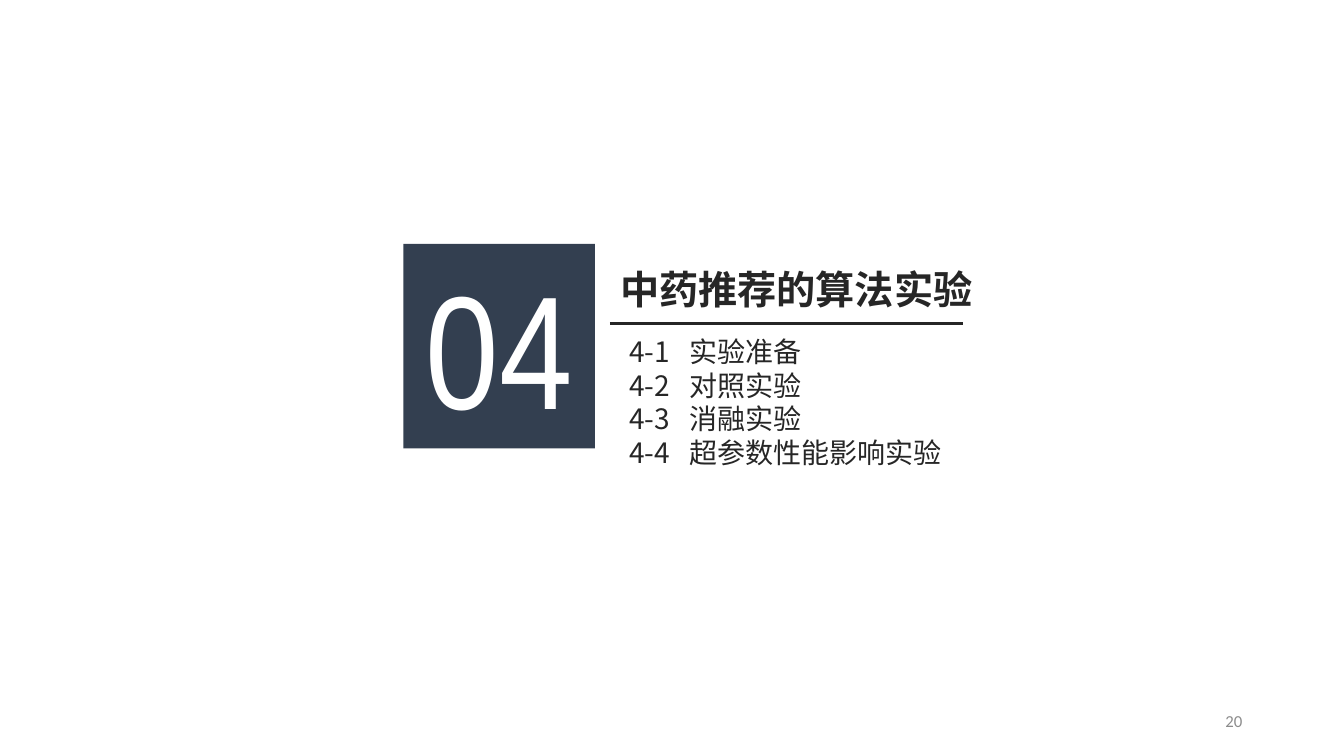
"""Build the section slide for the algorithm experiments."""
from dataclasses import dataclass

from lxml.etree import SubElement
from pptx import Presentation
from pptx.dml.color import RGBColor
from pptx.enum.shapes import MSO_CONNECTOR, MSO_SHAPE
from pptx.enum.text import MSO_ANCHOR as ANCHOR, MSO_AUTO_SIZE as AUTO, PP_ALIGN as ALIGN
from pptx.oxml.ns import qn
from pptx.util import Emu, Pt

PX = 9144
NAVY = RGBColor(0x33, 0x3F, 0x50)
INK = RGBColor(0x26, 0x26, 0x26)
GREY = RGBColor(0x8C, 0x8C, 0x8C)
WHITE = RGBColor(0xFF, 0xFF, 0xFF)
CJK = "Noto Sans CJK SC"
TOPICS = ["实验准备", "对照实验", "消融实验", "超参数性能影响实验"]


@dataclass
class Label:
    """Wording, place and format of one text."""
    lines: list[str]
    box: tuple[int, int, int, int]
    size: int
    font: str
    color: RGBColor
    bold: bool = False
    align: ALIGN = ALIGN.LEFT
    anchor: ANCHOR = ANCHOR.TOP
    tab: int = 0


def px(*values: int) -> list[Emu]:
    """Turn px into EMU."""
    return [Emu(v * PX) for v in values]


def write(sp, label: Label) -> None:
    """Place a shape and fill it with formatted text."""
    sp.left, sp.top, sp.width, sp.height = px(*label.box)
    tf = sp.text_frame
    frame = {"word_wrap": True, "auto_size": AUTO.NONE, "vertical_anchor": label.anchor}
    for name, value in frame.items():
        setattr(tf, name, value)
    tf.text = "\n".join(label.lines)
    for p in tf.paragraphs:
        p.alignment = label.align
        if label.tab:
            tabs = SubElement(p._p.get_or_add_pPr(), qn("a:tabLst"))
            SubElement(tabs, qn("a:tab"), pos=str(label.tab * PX), algn="l")
        for r in p.runs:
            font = {"size": Pt(label.size), "name": label.font, "bold": label.bold}
            for name, value in font.items():
                setattr(r.font, name, value)
            r.font.color.rgb = label.color
            SubElement(r._r.get_or_add_rPr(), qn("a:ea"), typeface=label.font)


def main() -> None:
    """Build and save the slide."""
    prs = Presentation()
    prs.slide_width, prs.slide_height = px(1333, 750)
    s = prs.slides.add_slide(prs.slide_layouts[5])
    write(s.shapes.title, Label(["中药推荐的算法实验"], (605, 258, 379, 57), 28, CJK, INK, bold=True))

    box = (400, 242, 190, 203)
    sp = s.shapes.add_shape(MSO_SHAPE.RECTANGLE, *px(*box))
    sp.shadow.inherit = False
    sp.fill.solid()
    sp.fill.fore_color.rgb = NAVY
    sp.line.fill.background()
    write(sp, Label(["04"], box, 115, "Arial Narrow", WHITE, align=ALIGN.CENTER))

    rule = s.shapes.add_connector(MSO_CONNECTOR.STRAIGHT, *px(605, 321, 955, 321))
    rule.line.color.rgb = INK
    rule.line.width = Pt(2)
    SubElement(rule._element.spPr, qn("a:effectLst"))

    topics = [f"4-{i}\t{topic}" for i, topic in enumerate(TOPICS, 1)]
    for label in (
        Label(topics, (614, 327, 415, 172), 20, CJK, INK, tab=60),
        Label(["20"], (942, 695, 300, 40), 12, "Calibri", GREY,
              align=ALIGN.RIGHT, anchor=ANCHOR.MIDDLE),
    ):
        write(s.shapes.add_textbox(*px(*label.box)), label)
    prs.save("out.pptx")


if __name__ == "__main__":
    main()
